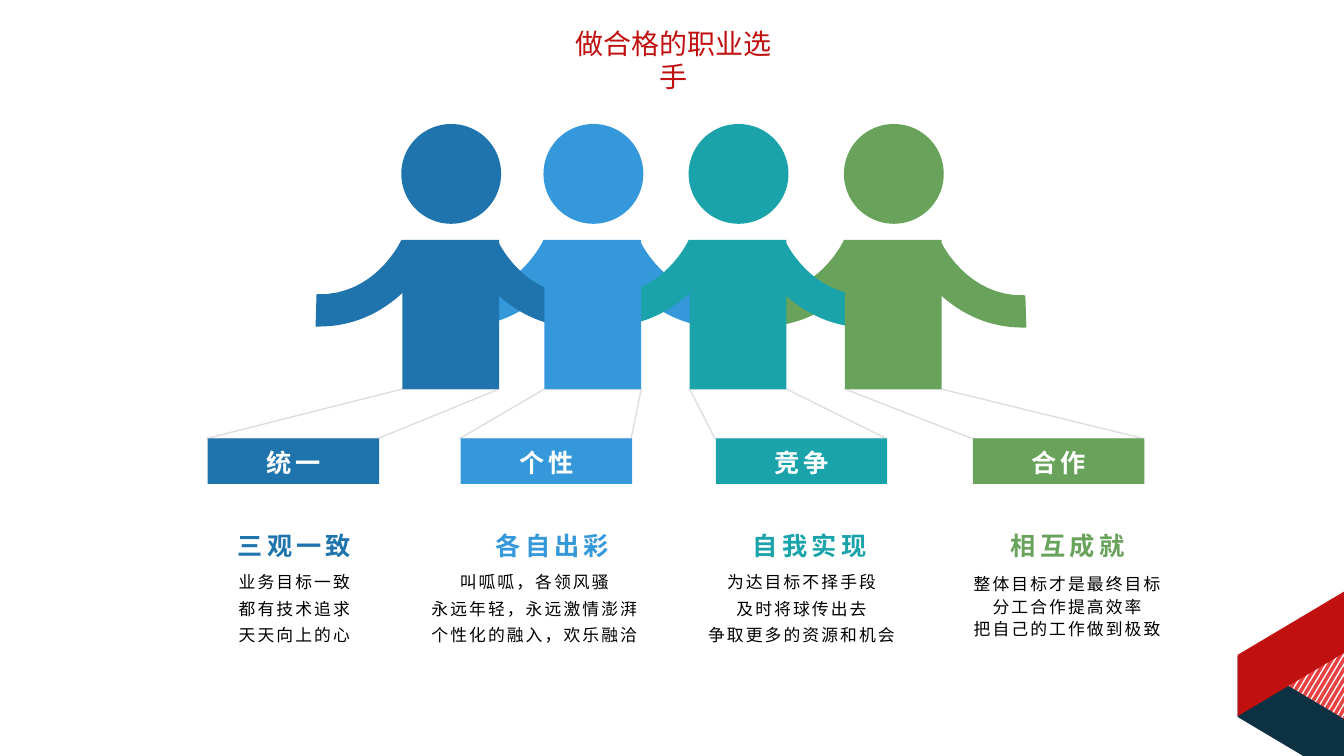
from pptx import Presentation
from pptx.dml.color import RGBColor
from pptx.enum.shapes import MSO_SHAPE
from pptx.enum.text import MSO_ANCHOR, MSO_AUTO_SIZE, PP_ALIGN
from pptx.oxml.ns import qn
from pptx.util import Pt
from lxml.etree import SubElement

PX = 9144  # EMU per px, 100 px to the inch
FONT = "Noto Sans CJK SC"
RED = RGBColor(0xC0, 0x10, 0x10)
ROSE = RGBColor(0xE8, 0x42, 0x42)
NAVY = RGBColor(0x0C, 0x31, 0x43)
BLUE = RGBColor(0x1F, 0x74, 0xAD)
SKY = RGBColor(0x34, 0x98, 0xDB)
TEAL = RGBColor(0x1A, 0xA3, 0xAA)
GREEN = RGBColor(0x69, 0xA3, 0x5B)
GREY = RGBColor(0xDC, 0xDE, 0xE0)
WHITE = RGBColor(255, 255, 255)
BLACK = RGBColor(0, 0, 0)

# color, body left, label left, label, head left, head, list left, list width, spacing, list
ROLES = [
    (BLUE, 399, 206, "统一", 189, "三观一致", 189, 206, 1.3,
     ["业务目标一致", "都有技术追求", "天天向上的心"]),
    (SKY, 540, 457, "个性", 445, "各自出彩", 410, 240, 1.3,
     ["叫呱呱，各领风骚", "永远年轻，永远激情澎湃", "个性化的融入，欢乐融洽"]),
    (TEAL, 684, 710, "竞争", 700, "自我实现", 684, 222, 1.3,
     ["为达目标不择手段", "及时将球传出去", "争取更多的资源和机会"]),
    (GREEN, 838, 965, "合作", 956, "相互成就", 945, 227, 1.1,
     ["整体目标才是最终目标", "分工合作提高效率", "把自己的工作做到极致"]),
]
BODY_W, BODY_TOP, BODY_END = 96, 238, 386
LABEL_W, LABEL_TOP = 170, 435


def write(shape, lines, size, color, bold=False, gap=0, leading=1.0,
          pad=(10, 5, 10, 5), anchor=MSO_ANCHOR.MIDDLE):
    frame = shape.text_frame
    frame.auto_size = MSO_AUTO_SIZE.NONE
    frame.word_wrap = True
    frame.vertical_anchor = anchor
    (frame.margin_left, frame.margin_top,
     frame.margin_right, frame.margin_bottom) = [n * PX for n in pad]
    for i, line in enumerate(lines):
        para = frame.add_paragraph() if i else frame.paragraphs[0]
        para.alignment = PP_ALIGN.CENTER
        para.line_spacing = leading
        run = para.add_run()
        run.text = line
        font = run.font
        font.size, font.bold, font.name = Pt(size), bold, FONT
        font.color.rgb = color
        props = run._r.get_or_add_rPr()
        props.set("spc", str(int(gap * 100)))
        SubElement(props, qn("a:ea")).set("typeface", FONT)


def paint(shape, fill, line=None):
    shape.shadow.inherit = False
    shape.fill.solid()
    shape.fill.fore_color.rgb = fill
    if line is None:
        shape.line.fill.background()
    else:
        shape.line.color.rgb = line
        shape.line.width = Pt(1)
    return shape


def block(slide, kind, box, fill):
    return paint(slide.shapes.add_shape(kind, *[n * PX for n in box]), fill)


def poly(slide, points, fill, line=None):
    spots = [(round(x * PX), round(y * PX)) for x, y in points]
    pen = slide.shapes.build_freeform(*spots[0], scale=1.0)
    pen.add_line_segments(spots[1:], close=True)
    return paint(pen.convert_to_shape(), fill, line)


def curve(a, b, c, d, steps=16):
    """Points along a cubic Bezier curve, both ends included."""
    def at(t, axis):
        u = 1 - t
        return (u ** 3 * a[axis] + 3 * u * u * t * b[axis]
                + 3 * u * t * t * c[axis] + t ** 3 * d[axis])
    return [(at(i / steps, 0), at(i / steps, 1)) for i in range(steps + 1)]


def arms(slide, left, color):
    arm = (curve((-85, 292), (-27, 294), (-1, 239), (-1, 238))
           + curve((28, 251), (28, 252), (20, 271), (2, 289))
           + curve((2, 289), (-22, 312), (-51, 324), (-82, 324))
           + [(-86, 324)])
    poly(slide, [(left + x, y) for x, y in arm], color)
    poly(slide, [(left + 94 - x, y + 1) for x, y in arm], color)


def link(slide, left, label):
    poly(slide, [(left, BODY_END), (label - 1, LABEL_TOP),
                 (label - 1 + LABEL_W, LABEL_TOP), (left + BODY_W, BODY_END)],
         WHITE, GREY)


def text(slide, box, lines, size, color, **style):
    write(slide.shapes.add_textbox(*[n * PX for n in box]),
          lines, size, color, **style)


def corner(slide):
    """Striped ribbon at the lower right."""
    for i in range(13):
        x, y = 1255 + 6 * i, 593 + 9.83 * i
        poly(slide, [(1333, y), (x, 722), (x + 2, 723), (1333, y + 4)],
             ROSE, ROSE)
    for top, turn, color in ((657, 90, NAVY), (586, 270, RED)):
        band = block(slide, MSO_SHAPE.PARALLELOGRAM, (1221, top, 131, 118), color)
        band.adjustments[0] = 0.595
        band.rotation = turn
    band._element.spPr.find(qn("a:xfrm")).set("flipV", "1")


def main():
    deck = Presentation()
    deck.slide_width, deck.slide_height = 1333 * PX, 750 * PX
    slide = deck.slides.add_slide(deck.slide_layouts[5])
    title = slide.shapes.title
    title.left, title.top, title.width, title.height = [
        n * PX for n in (547, 21, 242, 44)]
    write(title, ["做合格的职业选手"], 20, RED, pad=(12, 5, 12, 5),
          anchor=MSO_ANCHOR.TOP)
    corner(slide)
    for color, left, label, *_ in reversed(ROLES):
        link(slide, left, label)
    for i in (3, 1, 0, 2):  # arms overlap in this order
        color, left = ROLES[i][:2]
        block(slide, MSO_SHAPE.OVAL, (left - 1, 123, 99, 99), color)
        arms(slide, left, color)
    for (color, left, label, name, head_x, head,
         list_x, list_w, leading, lines) in ROLES:
        block(slide, MSO_SHAPE.RECTANGLE,
              (left, BODY_TOP, BODY_W, BODY_END - BODY_TOP), color)
        tag = block(slide, MSO_SHAPE.RECTANGLE,
                    (label, LABEL_TOP, LABEL_W, 45), color)
        write(tag, [name], 18, WHITE, bold=True, gap=3, leading=1.1)
        text(slide, (head_x, 514, 206, 40), [head], 18, color, bold=True,
             gap=3, leading=1.3, pad=(10, 5, 10, 0))
        text(slide, (list_x, 556, list_w, 94), lines, 12, BLACK,
             gap=1.5, leading=leading, pad=(10, 0, 10, 5))
    deck.save("out.pptx")


if __name__ == "__main__":
    main()
